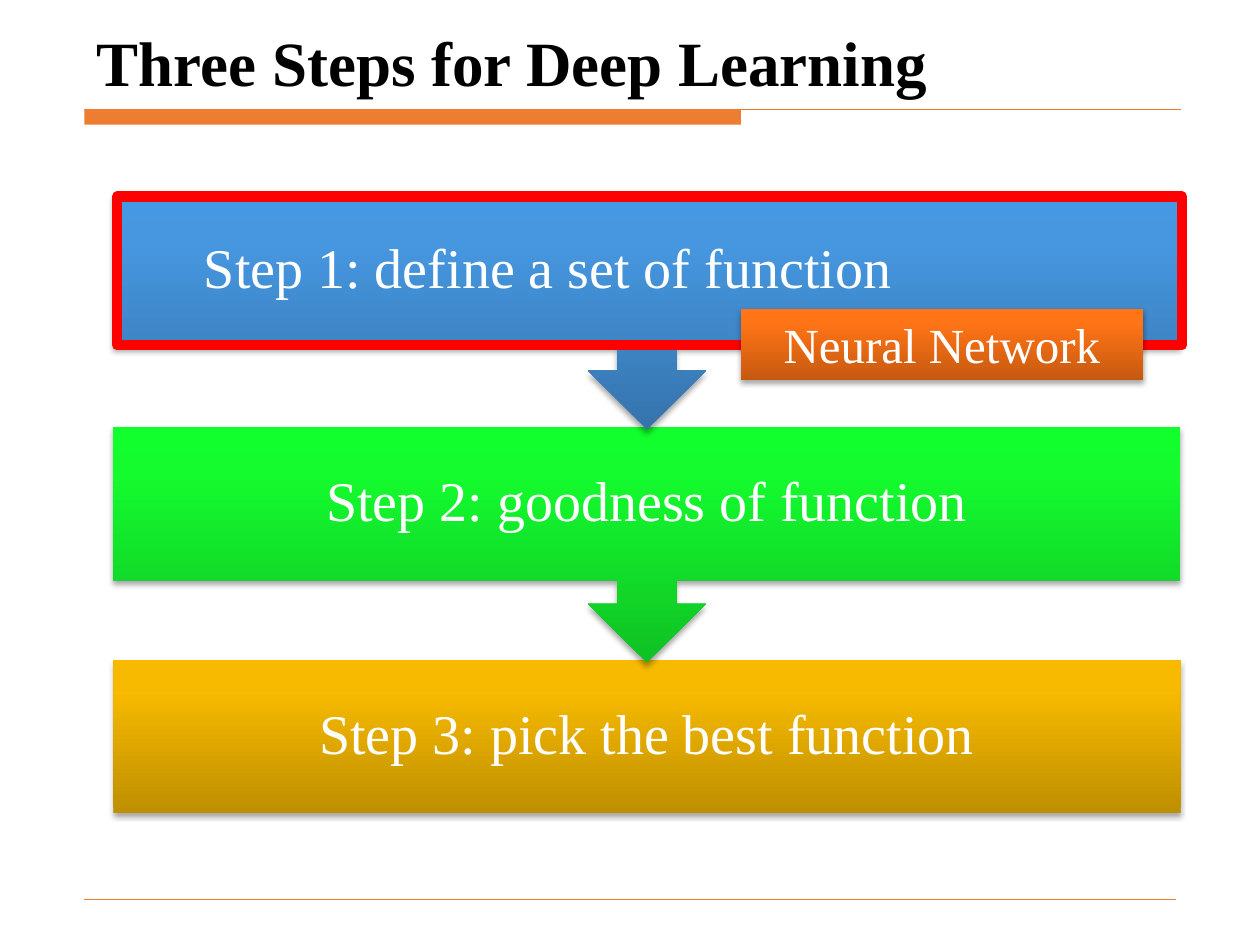
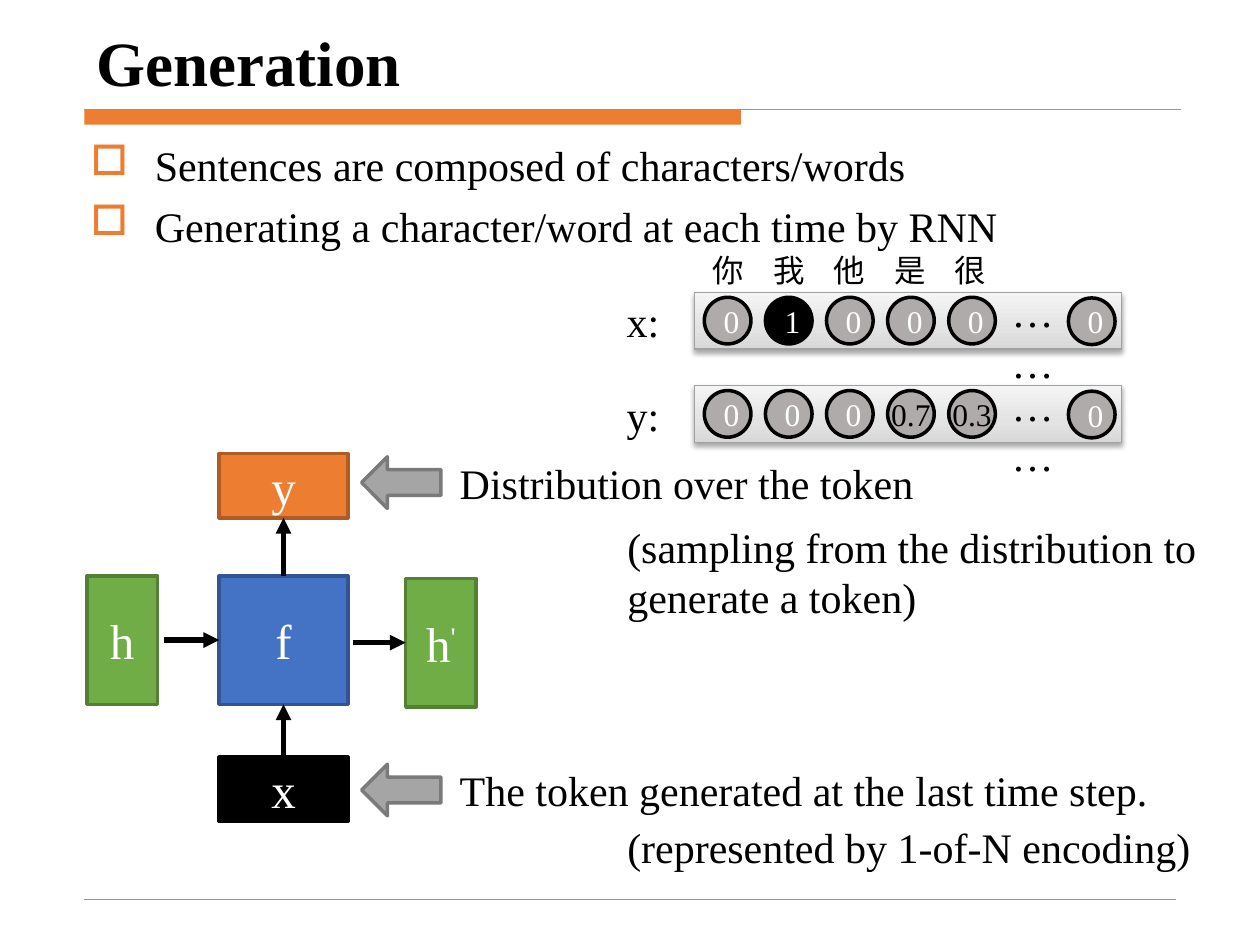
from dataclasses import dataclass

import pptx
import pptx.dml.color
import pptx.enum.shapes
import pptx.enum.text
import pptx.oxml
import pptx.oxml.ns
import pptx.util

SHAPE = pptx.enum.shapes.MSO_SHAPE
ALIGN = pptx.enum.text.PP_ALIGN
ANCHOR = pptx.enum.text.MSO_ANCHOR
qn = pptx.oxml.ns.qn
NS = pptx.oxml.ns.nsdecls("a")


@dataclass(frozen=True)
class Theme:
    font: str = "Times New Roman"
    title: int = 36
    step: int = 32
    node: int = 28
    body: int = 24
    cell: int = 18
    black: str = "000000"
    white: str = "FFFFFF"
    red: str = "FF0000"
    orange: str = "ED7D31"
    orange_edge: str = "AF5C24"
    blue: str = "4472C4"
    blue_edge: str = "325491"
    green: str = "70AD47"
    green_edge: str = "538035"
    gray: str = "A5A5A5"
    gray_edge: str = "7A7A7A"
    track_edge: str = "A1A1A1"
    cell_fill: str = "AFABAB"
    # gradients run from the bottom edge to the top: (percent, colour)
    blue_step: tuple = ((0, "3674AD"), (80, "4697E0"), (100, "4498E4"))
    green_step: tuple = ((0, "0FC124"), (80, "14FB2E"), (100, "11FF2C"))
    gold_step: tuple = ((0, "BE8F00"), (80, "F7BA00"), (100, "F8BB00"))
    orange_tag: tuple = ((0, "C65910"), (80, "FF7416"), (100, "FF7517"))
    track: tuple = ((0, "D8D8D8"), (35, "E3E3E3"), (100, "F4F4F4"))


T = Theme()
COLS, ROWS = 100, 75  # square grid cells over the whole slide
WIDTH = pptx.util.Inches(10)
CELL = WIDTH // COLS


def grid(*cells):
    return [pptx.util.Emu(round(n * CELL)) for n in cells]


def rgb(code):
    return pptx.dml.color.RGBColor.from_string(code)


def add_run(p, text, size, color, bold):
    r = p.add_run()
    r.text = text
    r.font.name, r.font.size, r.font.bold = T.font, pptx.util.Pt(size), bold
    r.font.color.rgb = rgb(color)
    return r


def write(sp, text, size=T.body, color=T.black, bold=False, align=ALIGN.LEFT,
          anchor=ANCHOR.TOP, wrap=True, insets=(1, 0.5, 1, 0.5), spacing=None,
          before=0, bullet=None, superscript=""):
    """Fill a shape with text, one paragraph per line; insets are in grid cells."""
    tf = sp.text_frame
    tf.word_wrap, tf.vertical_anchor = wrap, anchor
    tf.margin_left, tf.margin_top, tf.margin_right, tf.margin_bottom = grid(*insets)
    for i, line in enumerate(text.split("\n")):
        p = tf.add_paragraph() if i else tf.paragraphs[0]
        if bullet:
            add_bullet(p, bullet)
        p.alignment = align
        if spacing:
            p.line_spacing = spacing
        if i and before:
            p.space_before = pptx.util.Pt(before)
        add_run(p, line, size, color, bold)
    if superscript:
        r = add_run(p, superscript, size, color, bold)
        r.font._element.set("baseline", "30000")
    return sp


def add_bullet(p, char, indent=5.1):
    pPr = p._p.get_or_add_pPr()
    hang, = grid(indent)
    pPr.set("marL", str(hang))
    pPr.set("indent", str(-hang))
    pPr.append(pptx.oxml.parse_xml(
        f'<a:buClr {NS}><a:srgbClr val="{T.orange}"/></a:buClr>'))
    pPr.append(pptx.oxml.parse_xml(f'<a:buChar {NS} char="{char}"/>'))


def add_label(s, box, text, **fmt):
    return write(s.shapes.add_textbox(*grid(*box)), text, **fmt)


def add_box(s, kind, box, fill=None, edge=None, width=2):
    sp = s.shapes.add_shape(kind, *grid(*box))
    sp.shadow.inherit = False
    if fill:
        sp.fill.solid()
        sp.fill.fore_color.rgb = rgb(fill)
    else:
        sp.fill.background()
    if edge:
        sp.line.color.rgb = rgb(edge)
        sp.line.width = pptx.util.Pt(width)
    else:
        sp.line.fill.background()
    return sp


def add_raised_box(s, kind, box, stops, **edge):
    """Box with a vertical gradient and a soft shadow below it."""
    sp = add_box(s, kind, box, **edge)
    spPr = sp.element.spPr
    marks = "".join(f'<a:gs pos="{at * 1000}"><a:srgbClr val="{color}"/></a:gs>'
                    for at, color in stops)
    spPr.replace(spPr.find(qn("a:noFill")), pptx.oxml.parse_xml(
        f'<a:gradFill {NS} rotWithShape="1"><a:gsLst>{marks}</a:gsLst>'
        '<a:lin ang="16200000" scaled="0"/></a:gradFill>'))
    spPr.find(qn("a:effectLst")).append(pptx.oxml.parse_xml(
        f'<a:outerShdw {NS} blurRad="39400" dist="22900" dir="5400000" rotWithShape="0">'
        '<a:srgbClr val="000000"><a:alpha val="35000"/></a:srgbClr></a:outerShdw>'))
    return sp


def add_line(s, start, end, color=T.black, width=3, arrow=False,
             source=None, target=None):
    """Straight line; source and target are (shape, side) pairs to join."""
    c = s.shapes.add_connector(pptx.enum.shapes.MSO_CONNECTOR.STRAIGHT,
                               *grid(*start, *end))
    c.line.color.rgb = rgb(color)
    c.line.width = pptx.util.Pt(width)
    if source:
        c.begin_connect(*source)
    if target:
        c.end_connect(*target)
    spPr = c.element.spPr
    if arrow:
        spPr.find(qn("a:ln")).append(
            pptx.oxml.parse_xml(f'<a:tailEnd {NS} type="triangle"/>'))
    spPr.append(pptx.oxml.parse_xml(f"<a:effectLst {NS}/>"))


def add_slide(prs, title):
    """Blank slide with the title, the band below it and the footer rule."""
    s = prs.slides.add_slide(prs.slide_layouts[6])
    add_box(s, SHAPE.RECTANGLE, (6.7, 8.7, 52.1, 1.2), T.orange)
    add_line(s, (6.7, 8.7), (93.7, 8.7), T.orange, 0.75)
    add_line(s, (6.7, 71.4), (93.3, 71.4), T.orange, 0.25)
    add_label(s, (6.7, 2.1, 87.4, 6.3), title, size=T.title, bold=True,
              anchor=ANCHOR.BOTTOM)
    return s


def add_steps(s):
    left, top, width, pitch = 9, 15.4, 84.7, 18.5
    steps = [("Step 1: define a set of function", T.blue_step, 18.2),
             ("Step 2: goodness of function", T.green_step, 2.5),
             ("Step 3: pick the best function", T.gold_step, 2.5)]
    # last step first, so that each arrow tip lies over the step below
    for i, (text, stops, right_inset) in reversed(list(enumerate(steps))):
        is_last = i == len(steps) - 1
        kind = SHAPE.RECTANGLE if is_last else SHAPE.DOWN_ARROW_CALLOUT
        sp = add_raised_box(s, kind, (left, top + i * pitch, width,
                                      12.1 if is_last else 18.7), stops)
        write(sp, text, size=T.step, color=T.white, align=ALIGN.CENTER,
              anchor=ANCHOR.MIDDLE, spacing=0.9,
              insets=(2.5, 2.5, right_inset, 2.5))


def add_cell(s, x, y, value, chosen=False):
    sp = add_box(s, SHAPE.OVAL, (x, y, 3.7, 3.7),
                 T.black if chosen else T.cell_fill, T.black)
    fmt = dict(size=T.cell, align=ALIGN.CENTER, anchor=ANCHOR.MIDDLE)
    if len(value) > 1:
        write(sp, value, wrap=False, insets=(0, 0, 0, 0), **fmt)
    else:
        write(sp, value, color=T.white, **fmt)


def add_vector(s, top, name, values, chosen=None):
    """Named row of cells: the first values, dots, then the last value."""
    add_label(s, (44.5, top - 0.2, 8.8, 5), name, align=ALIGN.RIGHT)
    add_raised_box(s, SHAPE.RECTANGLE, (55.1, top, 33.9, 4.5), T.track,
                   edge=T.track_edge, width=0.75)
    *first, last = values
    for i, value in enumerate(first):
        add_cell(s, 55.9 + 4.85 * i, top + 0.4, value, i == chosen)
    add_cell(s, 84.8, top + 0.45, last)
    add_label(s, (78.5, top - 1, 6.9, 9.1), "……", align=ALIGN.CENTER)


def add_node(s, box, text, fill, edge, **fmt):
    sp = add_box(s, SHAPE.RECTANGLE, box, fill, edge)
    return write(sp, text, size=T.node, color=T.white, align=ALIGN.CENTER,
                 anchor=ANCHOR.MIDDLE, **fmt)


def add_network(s):
    f = add_node(s, (17.4, 45.7, 10.2, 10.2), "f", T.blue, T.blue_edge)
    add_node(s, (6.9, 45.7, 5.6, 10.2), "h", T.green, T.green_edge)
    h_next = add_node(s, (32.2, 45.9, 5.6, 10.2), "h", T.green, T.green_edge,
                      superscript="'")
    y = add_node(s, (17.4, 36, 10.2, 5.1), "y", T.orange, T.orange_edge)
    x = add_node(s, (17.4, 60.1, 10.2, 5.1), "x", T.black, T.black)
    add_line(s, (13, 50.8), (17.4, 50.8), arrow=True, target=(f, 1))
    add_line(s, (28, 51), (32.2, 51), arrow=True, target=(h_next, 1))
    for source, target in ((f, y), (x, f)):
        add_line(s, (22.5, 45.7), (22.5, 41.1), arrow=True,
                 source=(source, 0), target=(target, 2))


def add_remark(s, top, text, detail, detail_box):
    """Gray arrow towards a node, its remark and an indented detail."""
    add_box(s, SHAPE.LEFT_ARROW, (28.7, top + 0.45, 6.3, 4.1), T.gray, T.gray_edge)
    add_label(s, (35.5, top, 57.8, 5), text)
    add_label(s, detail_box, detail)


def build_steps_slide(prs):
    s = add_slide(prs, "Three Steps for Deep Learning")
    add_steps(s)
    add_box(s, SHAPE.RECTANGLE, (9.3, 15.6, 84.5, 11.8), edge=T.red, width=6)
    tag = add_raised_box(s, SHAPE.RECTANGLE, (58.8, 24.5, 31.9, 5.7), T.orange_tag)
    write(tag, "Neural Network", size=T.node, color=T.white, align=ALIGN.CENTER)


def build_generation_slide(prs):
    s = add_slide(prs, "Generation")
    add_label(s, (6.2, 10.2, 87.5, 60.4),
              "Sentences are composed of characters/words\n"
              "Generating a character/word at each time by RNN",
              bullet="□", before=6, insets=(1, 0.9, 1, 0.5))
    add_network(s)
    add_remark(s, 60.2, "The token generated at the last time step.",
               "(represented by 1-of-N encoding)", (48.8, 64.7, 48.2, 5))
    add_remark(s, 35.8, "Distribution over the token",
               "(sampling from the distribution to generate a token)",
               (48.8, 40.9, 50.1, 9.1))
    add_vector(s, 23.2, "x:", ["0", "1", "0", "0", "0", "0"], chosen=1)
    for i, token in enumerate("你我他是很"):
        add_label(s, (55.6 + 4.8 * i, 19.4, 4.8, 4), token, size=T.cell)
    add_vector(s, 30.6, "y:", ["0", "0", "0", "0.7", "0.3", "0"])


def main():
    prs = pptx.Presentation()
    prs.slide_width, prs.slide_height = WIDTH, ROWS * CELL
    build_steps_slide(prs)
    build_generation_slide(prs)
    prs.save("out.pptx")


if __name__ == "__main__":
    main()
